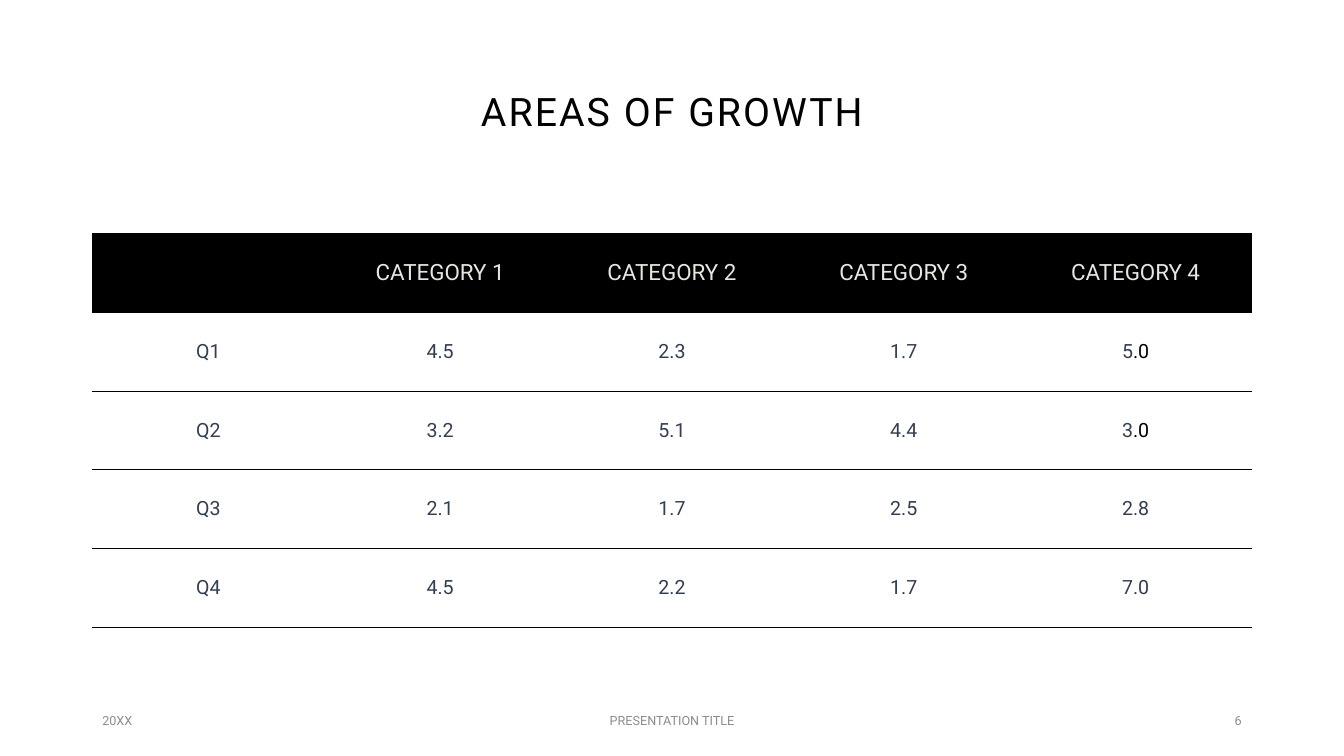
from lxml.etree import SubElement
from pptx import Presentation
from pptx.dml.color import RGBColor
from pptx.enum.text import MSO_ANCHOR as Anchor, PP_ALIGN as Align
from pptx.oxml.ns import qn
from pptx.util import Cm, Pt

COLORS = {
    "black": "000000",
    "cream": "E9E6DF",
    "slate": "333F50",
    "gray": "8C8C8C",
}
HEADER = ["", "CATEGORY 1", "CATEGORY 2", "CATEGORY 3", "CATEGORY 4"]
QUARTERS = [
    ["Q1", "4.5", "2.3", "1.7", ("5", ".0")],
    ["Q2", "3.2", "5.1", "4.4", ("3", ".0")],
    ["Q3", "2.1", "1.7", "2.5", "2.8"],
    ["Q4", "4.5", "2.2", "1.7", "7.0"],
]
MARGIN, WIDTH = 2.33, 29.21


class GrowthPage:
    """Holds the style and the current slide, and adds elements to it."""

    font_name = "Roboto"

    def __init__(self, deck):
        self.page = deck.slides.add_slide(deck.slide_layouts[5])

    def style(self, font, size, color):
        font.name = self.font_name
        font.size = Pt(size)
        font.bold = False
        font.color.rgb = RGBColor.from_string(COLORS[color])

    def fill_text(self, frame, text, size, color, align):
        frame.word_wrap = True
        frame.vertical_anchor = Anchor.MIDDLE
        para = frame.paragraphs[0]
        para.alignment = align
        self.style(para.font, size, color)
        para.add_run().text = text
        return para

    def title(self, text, top, height):
        box = self.page.shapes.title
        box.left, box.top = Cm(MARGIN), Cm(top)
        box.width, box.height = Cm(WIDTH), Cm(height)
        para = self.fill_text(box.text_frame, text, 28, "black", Align.CENTER)
        para.line_spacing = 0.9
        para.runs[0].font._element.set("spc", "150")

    def label(self, text, left, width, align):
        box = self.page.shapes.add_textbox(Cm(left), Cm(17.65), Cm(width), Cm(1.02))
        self.fill_text(box.text_frame, text, 9, "gray", align)

    def borders(self, cell):
        properties = cell._tc.get_or_add_tcPr()
        for side in ("lnL", "lnR", "lnT", "lnB"):
            line = SubElement(properties, qn(f"a:{side}"), w=str(Pt(0.5)))
            if side in ("lnT", "lnB"):
                fill = SubElement(line, qn("a:solidFill"))
                SubElement(fill, qn("a:srgbClr"), val=COLORS["black"])
            else:
                SubElement(line, qn("a:noFill"))

    def cell(self, cell, value, is_header):
        size, color = (16, "cream") if is_header else (14, "slate")
        whole, *decimals = [value] if isinstance(value, str) else value
        cell.vertical_anchor = Anchor.MIDDLE
        para = self.fill_text(cell.text_frame, whole, size, color, Align.CENTER)
        for decimal in decimals:
            span = para.add_run()
            span.text = decimal
            self.style(span.font, size, "black")
        self.borders(cell)
        if is_header:
            cell.fill.solid()
            cell.fill.fore_color.rgb = RGBColor.from_string(COLORS["black"])
        else:
            cell.fill.background()

    def table(self, rows, top, row_height):
        frame = self.page.shapes.add_table(
            len(rows), len(rows[0]), Cm(MARGIN), Cm(top),
            Cm(WIDTH), Cm(row_height * len(rows)))
        frame.table.horz_banding = False
        for row, values in enumerate(rows):
            for column, value in enumerate(values):
                self.cell(frame.table.cell(row, column), value, row == 0)


def main():
    deck = Presentation()
    deck.slide_width, deck.slide_height = Cm(33.87), Cm(19.05)
    growth = GrowthPage(deck)
    growth.title("AREAS OF GROWTH", 1.02, 3.68)
    growth.table([HEADER, *QUARTERS], 5.87, 1.99)
    growth.label("20XX", MARGIN, 7.62, Align.LEFT)
    growth.label("PRESENTATION TITLE", 11.22, 11.43, Align.CENTER)
    growth.label("6", MARGIN + WIDTH - 7.62, 7.62, Align.RIGHT)
    deck.save("out.pptx")


if __name__ == "__main__":
    main()
